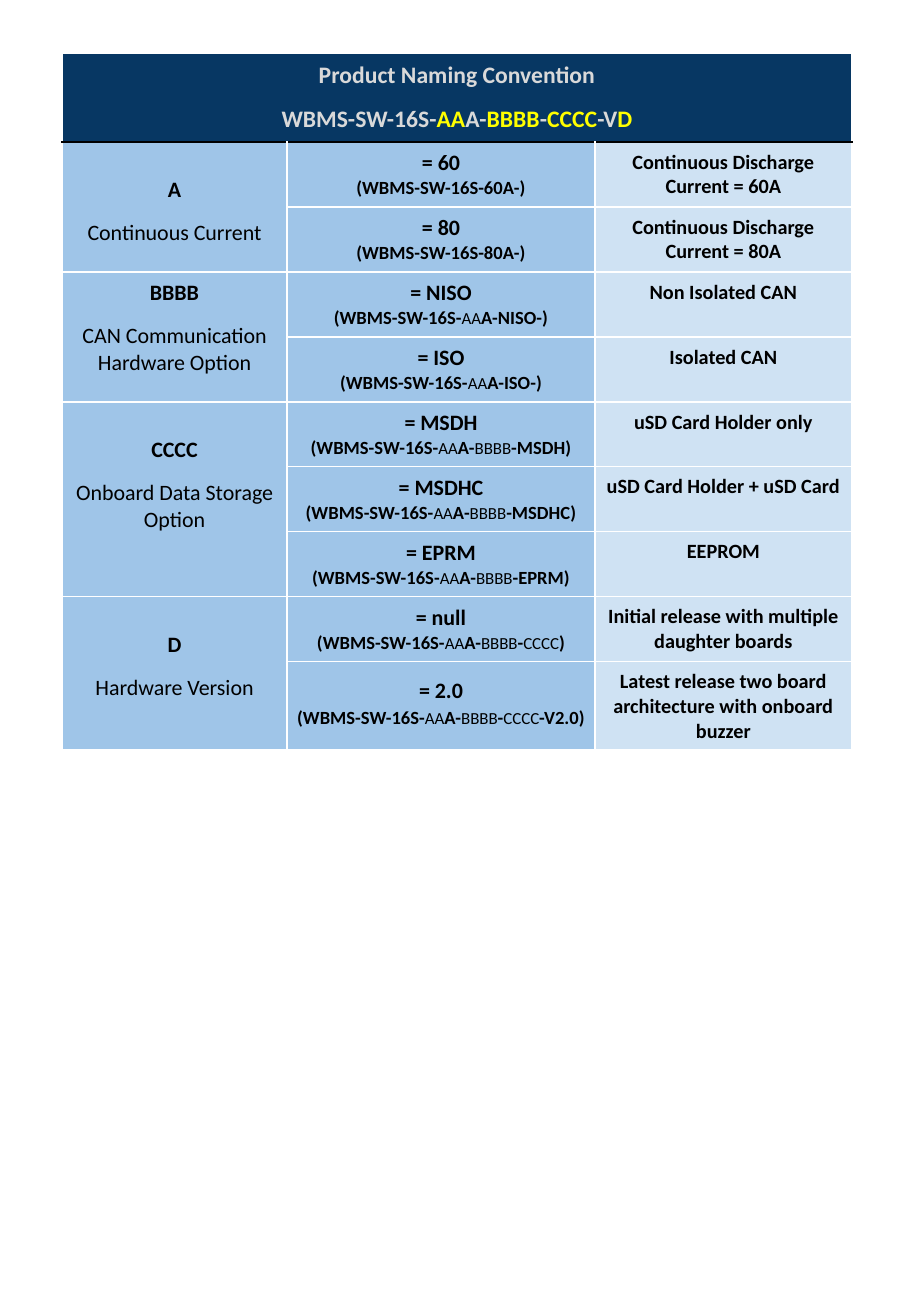
from lxml import etree
from pptx import Presentation
from pptx.dml.color import RGBColor
from pptx.enum.text import MSO_ANCHOR, PP_ALIGN
from pptx.oxml.ns import qn
from pptx.util import Pt

CENTER, TOP = PP_ALIGN.CENTER, MSO_ANCHOR.TOP
HUES = {"navy": "073763", "blue": "9FC5E8", "pale": "CFE2F3", "grey": "D9D9D9",
        "gold": "FFFF00", "black": "000000", "white": "FFFFFF"}

TITLE = ("Product Naming Convention", "WBMS-SW-16S-|AA|A-|BBBB|-|CCCC|-V|D")
GROUPS = [
    ("A", "Continuous Current", 35, [
        ("= 60", "60A-)", "Continuous Discharge Current = 60A"),
        ("= 80", "80A-)", "Continuous Discharge Current = 80A")]),
    ("BBBB", "CAN Communication Hardware Option", 8, [
        ("= NISO", "|AA|A-NISO-)", "Non Isolated CAN"),
        ("= ISO", "|AA|A-ISO-)", "Isolated CAN")]),
    ("CCCC", "Onboard Data Storage Option", 35, [
        ("= MSDH", "|AA|A-|BBBB|-MSDH)", "uSD Card Holder only"),
        ("= MSDHC", "|AA|A-|BBBB|-MSDHC)", "uSD Card Holder + uSD Card"),
        ("= EPRM", "|AA|A-|BBBB|-EPRM)", "EEPROM")]),
    ("D", "Hardware Version", 35, [
        ("= null", "|AA|A-|BBBB|-|CCCC|)",
         "Initial release with multiple daughter boards"),
        ("= 2.0", "|AA|A-|BBBB|-|CCCC|-V2.0)",
         "Latest release two board architecture with onboard buzzer")]),
]
STEM = "(WBMS-SW-16S-"
COLS = [225, 308, 257]
ROWS = [89] + [65] * 8 + [88]
LEFT, HEAD = 62, 53

HEADING = {"size": 14, "bold": True, "hue": "grey"}
GOLD = {"size": 14, "bold": True, "hue": "gold"}
NAME = {"size": 13, "bold": True, "hue": "black"}
PLAIN = {"size": 13, "bold": False, "hue": "black"}
CODE = {"size": 11, "bold": True, "hue": "black"}
LIGHT = {"size": 10, "bold": False, "hue": "black"}
NOTE = {"size": 12, "bold": True, "hue": "black"}


def px(n):
    return round(n * 914400 / 121.5)


def color(hue):
    return RGBColor.from_string(HUES[hue])


def style(font, look):
    font.color.rgb = color(look["hue"])
    for key, val in {"name": "Calibri", "size": Pt(look["size"]),
                     "bold": look["bold"]}.items():
        setattr(font, key, val)


def write(cell, lines, gap=0, top=8):
    cell.margin_top = px(top)
    frame = cell.text_frame
    for i, (text, main, alt) in enumerate(lines):
        para = frame.add_paragraph() if i else frame.paragraphs[0]
        para.alignment = CENTER
        if i and gap:
            para.space_before = px(gap)
        for j, part in enumerate(text.split("|")):
            run = para.add_run()
            run.text = part
            style(run.font, alt if j % 2 else main)


def border(cell, edges):
    props = cell._tc.get_or_add_tcPr()
    for i, (side, hue) in enumerate(edges.items()):
        line = etree.Element(qn("a:ln" + side), w=str(Pt(1)))
        fill = etree.SubElement(line, qn("a:solidFill"))
        etree.SubElement(fill, qn("a:srgbClr"), val=HUES[hue])
        props.insert(i, line)


deck = Presentation()
deck.slide_width, deck.slide_height = px(911), px(1316)
slide = deck.slides.add_slide(deck.slide_layouts[6])
grid = slide.shapes.add_table(len(ROWS), len(COLS), px(LEFT), px(HEAD),
                              px(sum(COLS)), px(sum(ROWS))).table
for col, size in zip(grid.columns, COLS):
    col.width = px(size)
for row, size in zip(grid.rows, ROWS):
    row.height = px(size)

for r in range(len(ROWS)):
    for c in range(len(COLS)):
        cell = grid.cell(r, c)
        for key, val in {"margin_left": px(8), "margin_right": px(8),
                         "margin_bottom": px(5), "vertical_anchor": TOP}.items():
            setattr(cell, key, val)
        cell.fill.solid()
        cell.fill.fore_color.rgb = color(
            "navy" if r == 0 else "pale" if c == 2 else "blue")
        border(cell, {"L": "white", "R": "white",
                      "T": "black" if r == 1 else "white",
                      "B": "black" if r == 0 else "white"})

grid.cell(0, 0).merge(grid.cell(0, 2))
write(grid.cell(0, 0), [(text, HEADING, GOLD) for text in TITLE], gap=15)

r = 1
for key, label, top, items in GROUPS:
    grid.cell(r, 0).merge(grid.cell(r + len(items) - 1, 0))
    write(grid.cell(r, 0), [(key, NAME, NAME), (label, PLAIN, PLAIN)], 16, top)
    for value, code, note in items:
        tall = ROWS[r] > 65
        write(grid.cell(r, 1), [(value, NAME, NAME), (STEM + code, CODE, LIGHT)],
              2 if tall else 0, 16 if tall else 8)
        write(grid.cell(r, 2), [(note, NOTE, NOTE)])
        r += 1

deck.save("out.pptx")
